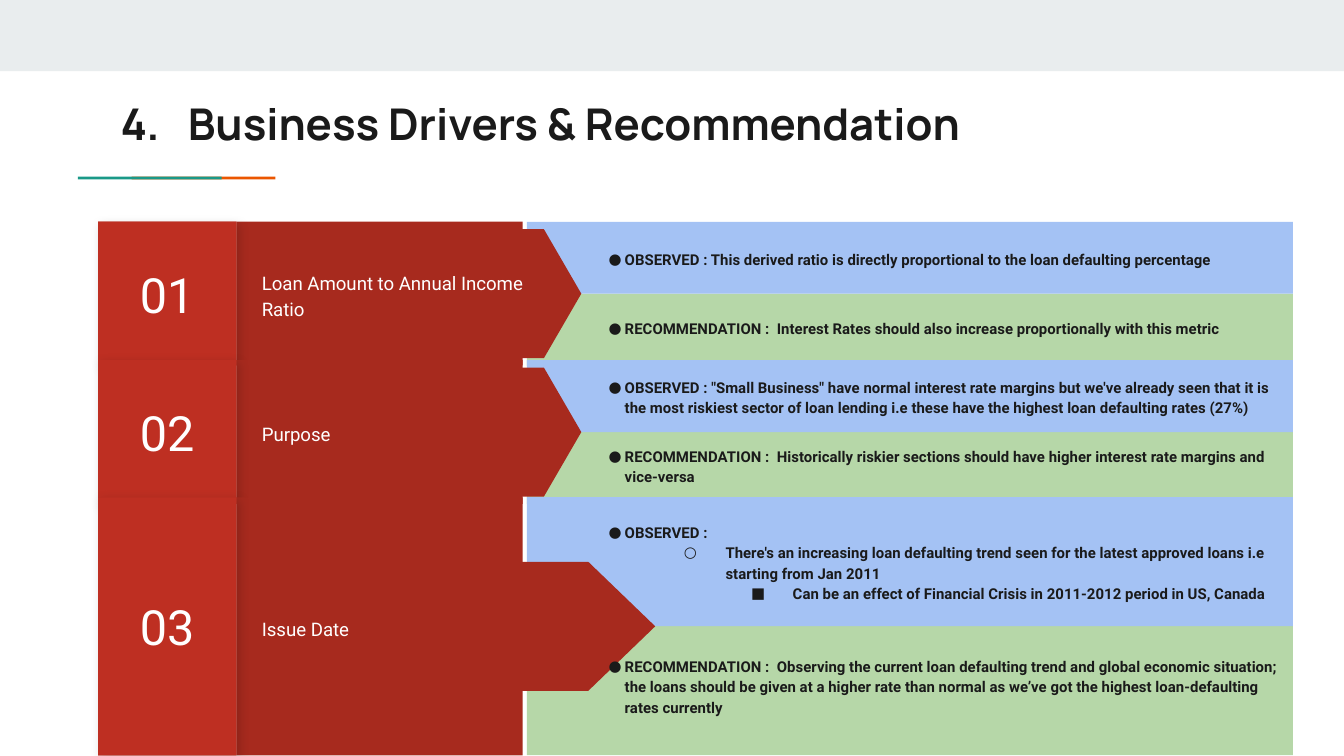
from dataclasses import dataclass

import pptx
import pptx.dml.color
import pptx.enum.shapes
import pptx.enum.text
import pptx.util
from lxml import etree
from pptx.oxml.ns import qn

# The page is a grid of square cells, 100 columns wide.
COLUMNS, ROWS = 100, 56.25
CELL = pptx.util.Inches(0.1)

COLORS = {
    "band": "E9EDEE", "orange": "EB5600", "teal": "1A9988",
    "green": "B6D7A8", "blue": "A4C2F4", "label": "A72A1E",
    "number_base": "B02C20", "number": "BE2F22",
    "ink": "1A1A1A", "white": "FFFFFF", "shadow": "000000",
}
SHAPES = pptx.enum.shapes.MSO_SHAPE
ALIGN = pptx.enum.text.PP_ALIGN
ANCHOR = pptx.enum.text.MSO_ANCHOR
BULLETS = "●○■"
BULLET_INDENTS = ((0.25, -0.12), (1, -0.31), (1.5, -0.31))  # inches: left, first line


@dataclass(frozen=True)
class Area:
    left: float
    top: float
    width: float
    height: float

    def emu(self) -> list[int]:
        return [round(n * CELL) for n in (self.left, self.top, self.width, self.height)]


@dataclass(frozen=True)
class Driver:
    number: str
    label: list[str]
    observed: list[str]  # each line is one bullet level deeper
    recommendation: str
    top: float
    height: float
    arrow_length: float


DRIVERS = [
    Driver("01", ["Loan Amount to Annual Income", "Ratio"],
           ["OBSERVED : This derived ratio is directly proportional to the loan "
            "defaulting percentage"],
           "RECOMMENDATION :  Interest Rates should also increase proportionally "
           "with this metric", 16.5, 10.7, 13.9),
    Driver("02", ["Purpose"],
           ["OBSERVED : \"Small Business\" have normal interest rate margins but we've "
            "already seen that it is the most riskiest sector of loan lending i.e these "
            "have the highest loan defaulting rates (27%)"],
           "RECOMMENDATION :  Historically riskier sections should have higher interest "
           "rate margins and vice-versa", 26.8, 10.7, 13.9),
    Driver("03", ["Issue Date"],
           ["OBSERVED :",
            "There's an increasing loan defaulting trend seen for the latest approved "
            "loans i.e starting from Jan 2011",
            "Can be an effect of Financial Crisis in 2011-2012 period in US, Canada"],
           "RECOMMENDATION :  Observing the current loan defaulting trend and global "
           "economic situation; the loans should be given at a higher rate than normal "
           "as we’ve got the highest loan-defaulting rates currently", 37, 19.2, 24.9),
]


def rgb(color: str) -> pptx.dml.color.RGBColor:
    return pptx.dml.color.RGBColor.from_string(COLORS[color])


def add_block(page, area: Area, color: str, kind=SHAPES.RECTANGLE):
    block = page.shapes.add_shape(kind, *area.emu())
    block.shadow.inherit = False
    block.fill.solid()
    block.fill.fore_color.rgb = rgb(color)
    block.line.fill.background()
    return block


def add_soft_shadow(block) -> None:
    effects = block._element.spPr.find(qn("a:effectLst"))
    shadow = etree.SubElement(effects, qn("a:outerShdw"), blurRad="71120", dist="27940",
                              dir="2700000", algn="bl", rotWithShape="0")
    color = etree.SubElement(shadow, qn("a:srgbClr"), val=COLORS["shadow"])
    etree.SubElement(color, qn("a:alpha"), val="17000")


def add_bullet(para, level: int) -> None:
    left, first = BULLET_INDENTS[level]
    para.level = level
    properties = para._p.get_or_add_pPr()
    properties.set("marL", str(pptx.util.Inches(left)))
    properties.set("indent", str(pptx.util.Inches(first)))
    color = etree.SubElement(properties, qn("a:buClr"))
    etree.SubElement(color, qn("a:srgbClr"), val=COLORS["ink"])
    etree.SubElement(properties, qn("a:buFont"), typeface="Roboto")
    etree.SubElement(properties, qn("a:buChar"), char=BULLETS[level])


def write(box, lines: list[str], *, size: float, color: str, font: str = "Roboto",
          bold: bool = False, align=ALIGN.LEFT, anchor=ANCHOR.MIDDLE,
          spacing: float = 1.0, bulleted: bool = False) -> None:
    frame = box.text_frame
    frame.word_wrap = True
    frame.vertical_anchor = anchor
    frame.margin_left = frame.margin_right = CELL
    frame.margin_top = frame.margin_bottom = CELL
    for level, line in enumerate(lines):
        para = frame.add_paragraph() if level else frame.paragraphs[0]
        para.alignment = align
        para.line_spacing = spacing
        if bulleted:
            add_bullet(para, level)
        span = para.add_run()
        span.text = line
        span.font.name = font
        span.font.size = pptx.util.Pt(size)
        span.font.bold = bold
        span.font.color.rgb = rgb(color)


def add_text(page, area: Area, lines: list[str], **style) -> None:
    write(page.shapes.add_textbox(*area.emu()), lines, **style)


def add_driver(page, driver: Driver) -> None:
    top, height = driver.top, driver.height
    half = height / 2
    middle = top + half
    add_block(page, Area(39.2, middle, 57, half), "green")
    add_block(page, Area(39.2, top, 57, half), "blue")
    add_block(page, Area(17.6, top, 21.3, height), "label")

    thickness, length = 9.6, driver.arrow_length
    arrow = add_block(page, Area(36.3 - thickness / 2, middle - length / 2, thickness, length),
                      "label", SHAPES.FLOWCHART_OFFPAGE_CONNECTOR)
    arrow.rotation = 270

    add_text(page, Area(18.5, top + 0.12 * height, 29, 0.77 * height), driver.label,
             size=10, color="white", spacing=1.15)

    number_area = Area(7.3, top, 10.3, height)
    add_soft_shadow(add_block(page, number_area, "number_base"))
    write(add_block(page, number_area, "number"), [driver.number],
          size=26, color="white", align=ALIGN.CENTER)

    for share, lines in ((0, driver.observed), (0.48, [driver.recommendation])):
        add_text(page, Area(43, top + share * height, 53.2, half), lines,
                 size=8, color="ink", bold=True, spacing=1.15, bulleted=True)


def main() -> None:
    deck = pptx.Presentation()
    deck.slide_width = round(COLUMNS * CELL)
    deck.slide_height = round(ROWS * CELL)
    page = deck.slides.add_slide(deck.slide_layouts[6])

    add_block(page, Area(0, 0, COLUMNS, 5.3), "band")
    for left, color in ((9.8, "orange"), (5.8, "teal")):
        add_block(page, Area(left, 13.15, 10.7, 0.2), color)
    for driver in DRIVERS:
        add_driver(page, driver)
    add_text(page, Area(8, 6.2, 84.1, 5.9), ["4. \tBusiness Drivers & Recommendation"],
             size=23.4, color="ink", font="Manrope", bold=True, anchor=ANCHOR.TOP)
    deck.save("out.pptx")


if __name__ == "__main__":
    main()
